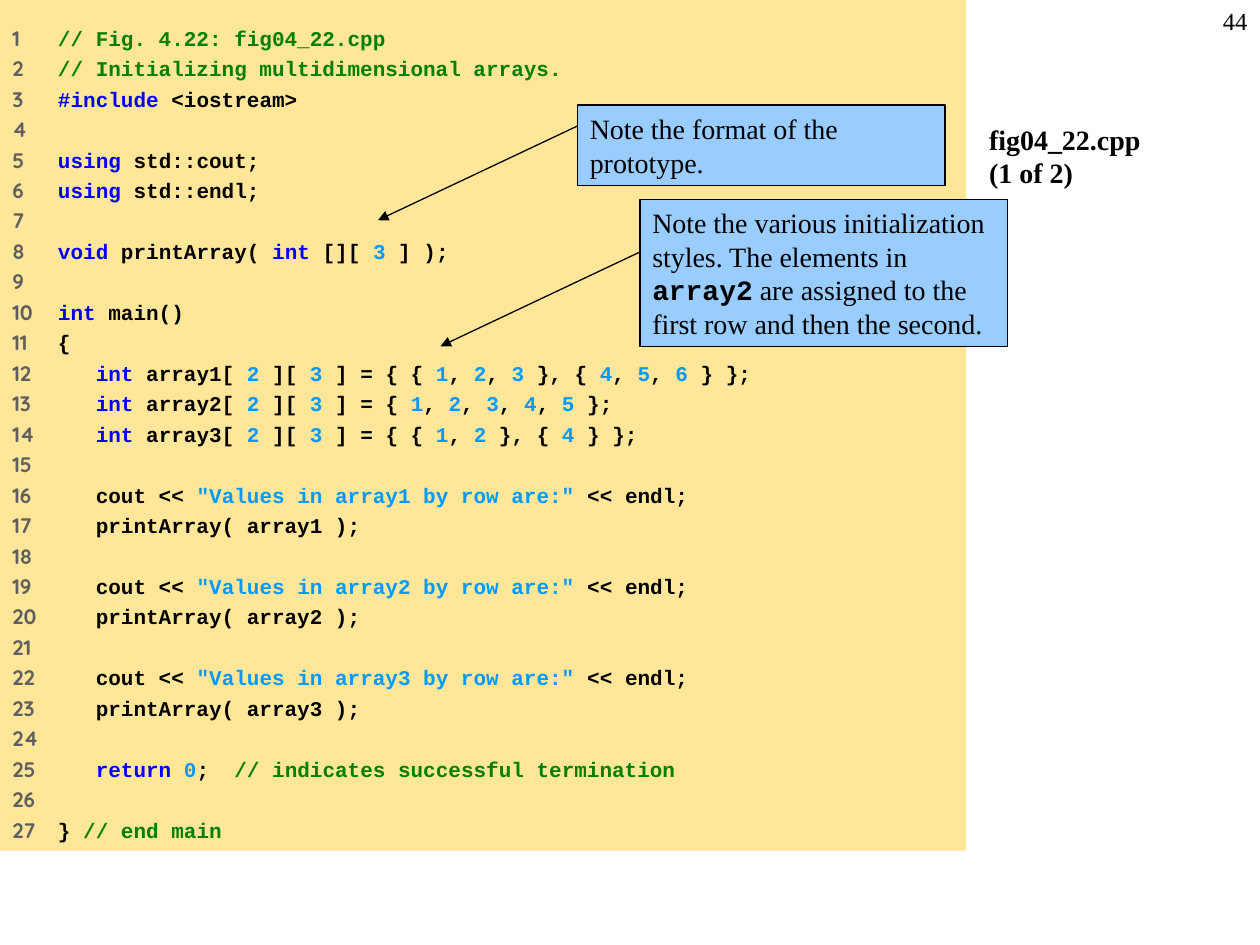
"""Build a code listing slide with two callouts."""
import itertools

import pptx
import pptx.dml.color
import pptx.enum.shapes
import pptx.enum.text
import pptx.oxml
import pptx.oxml.ns
import pptx.util
from pptx.util import Cm, Pt

HUES = {
    "text": "000000", "key": "0000FF", "value": "0099FF", "note": "008000",
    "count": "5F5F5F", "panel": "FFE699", "call": "99CCFF",
}
SERIF, MONO, COUNT = "Times New Roman", "Courier New", "Quicksand"
KEYS = {"#include", "using", "void", "int", "return"}
CODE = """\
// Fig. 4.22: fig04_22.cpp
// Initializing multidimensional arrays.
#include <iostream>

using std::cout;
using std::endl;

void printArray( int [][ 3 ] );

int main()
{
   int array1[ 2 ][ 3 ] = { { 1, 2, 3 }, { 4, 5, 6 } };
   int array2[ 2 ][ 3 ] = { 1, 2, 3, 4, 5 };
   int array3[ 2 ][ 3 ] = { { 1, 2 }, { 4 } };

   cout << "Values in array1 by row are:" << endl;
   printArray( array1 );

   cout << "Values in array2 by row are:" << endl;
   printArray( array2 );

   cout << "Values in array3 by row are:" << endl;
   printArray( array3 );

   return 0;  // indicates successful termination

} // end main"""


def hue(name):
    return pptx.dml.color.RGBColor.from_string(HUES[name])


def split(line):
    """Yield pieces of a code line with their colour names."""
    code, mark, note = line.partition("//")
    for odd, part in enumerate(code.split('"')):
        if odd % 2:
            yield f'"{part}"', "value"
            continue
        for pos, word in enumerate(part.split(" ")):
            if pos:
                yield " ", "text"
            core = word.rstrip(",;")
            kind = "key" if core in KEYS else "value" if core.isdigit() else "text"
            yield core, kind
            yield word[len(core):], "text"
    yield mark + note, "note"


def code_runs(line):
    """Join neighbouring pieces of one colour into runs."""
    pieces = [piece for piece in split(line) if piece[0]]
    for kind, group in itertools.groupby(pieces, key=lambda piece: piece[1]):
        yield "".join(piece[0] for piece in group), {"font": MONO, "color": kind}


def code_rows():
    """Return one list of runs per numbered line."""
    rows = []
    for num, line in enumerate(CODE.split("\n"), 1):
        label = f"{num}\t" if line else str(num)
        rows.append([(label, {"font": COUNT, "color": "count"}), *code_runs(line)])
    return rows


def write(frame, rows, size=16, font=SERIF, color="text", bold=False,
          align="LEFT", gap=0, tab=None, pad=0.13):
    """Fill a text frame; each row is a list of (text, changes) runs."""
    frame.word_wrap = True
    frame.auto_size = pptx.enum.text.MSO_AUTO_SIZE.NONE
    frame.vertical_anchor = pptx.enum.text.MSO_ANCHOR.TOP
    frame.margin_left = frame.margin_right = Cm(0.25)
    frame.margin_top = frame.margin_bottom = Cm(pad)
    for pos, row in enumerate(rows):
        para = frame.add_paragraph() if pos else frame.paragraphs[0]
        para.alignment = getattr(pptx.enum.text.PP_ALIGN, align)
        para.line_spacing = Pt(size * 1.2)
        para.space_before = Pt(gap if pos else 0)
        if tab:
            props = para._p.get_or_add_pPr()
            stops = pptx.oxml.ns.qn("a:tabLst")
            stop = props.makeelement(stops, {})
            stop.append(stop.makeelement(
                pptx.oxml.ns.qn("a:tab"), {"pos": str(Cm(tab)), "algn": "l"}))
            props.append(stop)
        for text, change in row:
            look = {"font": font, "color": color, "bold": bold, **change}
            run = para.add_run()
            run.text = text
            run.font.size = Pt(size)
            run.font.name = look["font"]
            run.font.bold = look["bold"]
            run.font.color.rgb = hue(look["color"])


def add_box(shapes, place, fill, line=None):
    """Add a plain rectangle."""
    kind = pptx.enum.shapes.MSO_SHAPE.RECTANGLE
    box = shapes.add_shape(kind, *map(Cm, place))
    box.shadow.inherit = False
    box.fill.solid()
    box.fill.fore_color.rgb = hue(fill)
    if line:
        box.line.color.rgb = hue(line)
        box.line.width = Pt(0.75)
    else:
        box.line.fill.background()
    return box


def add_arrow(shapes, x, y):
    """Add an arrow that runs down and left from a callout edge."""
    kind = pptx.enum.shapes.MSO_CONNECTOR.STRAIGHT
    arrow = shapes.add_connector(kind, Cm(x), Cm(y), Cm(x - 4.02), Cm(y + 1.9))
    arrow.line.color.rgb = hue("text")
    arrow.line.width = Pt(0.75)
    line = arrow.line._get_or_add_ln()
    line.append(line.makeelement(pptx.oxml.ns.qn("a:tailEnd"), {"type": "triangle"}))
    props = arrow._element.spPr
    props.append(props.makeelement(pptx.oxml.ns.qn("a:effectLst"), {}))


def add_call(slide, x, y, high, drop, runs):
    """Add a grouped callout box and its arrow."""
    shapes = slide.shapes.add_group_shape().shapes
    box = add_box(shapes, (x, y, 7.41, high), "call", "text")
    write(box.text_frame, [runs])
    add_arrow(shapes, x, y + drop)


def add_title(slide, lines):
    """Place and fill the title."""
    title = slide.shapes.title
    title.left, title.top, title.width, title.height = map(Cm, (19.69, 2.33, 5.71, 13.34))
    write(title.text_frame, [[(line, {})] for line in lines], bold=True)


def main():
    deck = pptx.Presentation()
    deck.slide_width, deck.slide_height = Cm(25.4), Cm(19.05)
    slide = deck.slides.add_slide(deck.slide_layouts[5])
    page = slide.shapes.add_textbox(Cm(24.13), Cm(0), Cm(1.27), Cm(1.27))
    write(page.text_frame, [[("44", {})]], size=14, align="RIGHT")
    add_title(slide, ["fig04_22.cpp", "(1 of 2)"])
    panel = add_box(slide.shapes, (0, 0, 19.48, 17.15), "panel")
    write(panel.text_frame, code_rows(), size=12, bold=True, gap=3, tab=0.92, pad=0.51)
    add_call(slide, 12.9, 4.02, 2.97, 1.06, [
        ("Note the various initialization styles. The elements in ", {}),
        ("array2", {"font": MONO, "bold": True}),
        (" are assigned to the first row and then the second.", {}),
    ])
    add_call(slide, 11.64, 2.12, 1.62, 0.42, [("Note the format of the prototype.", {})])
    deck.save("out.pptx")


if __name__ == "__main__":
    main()
